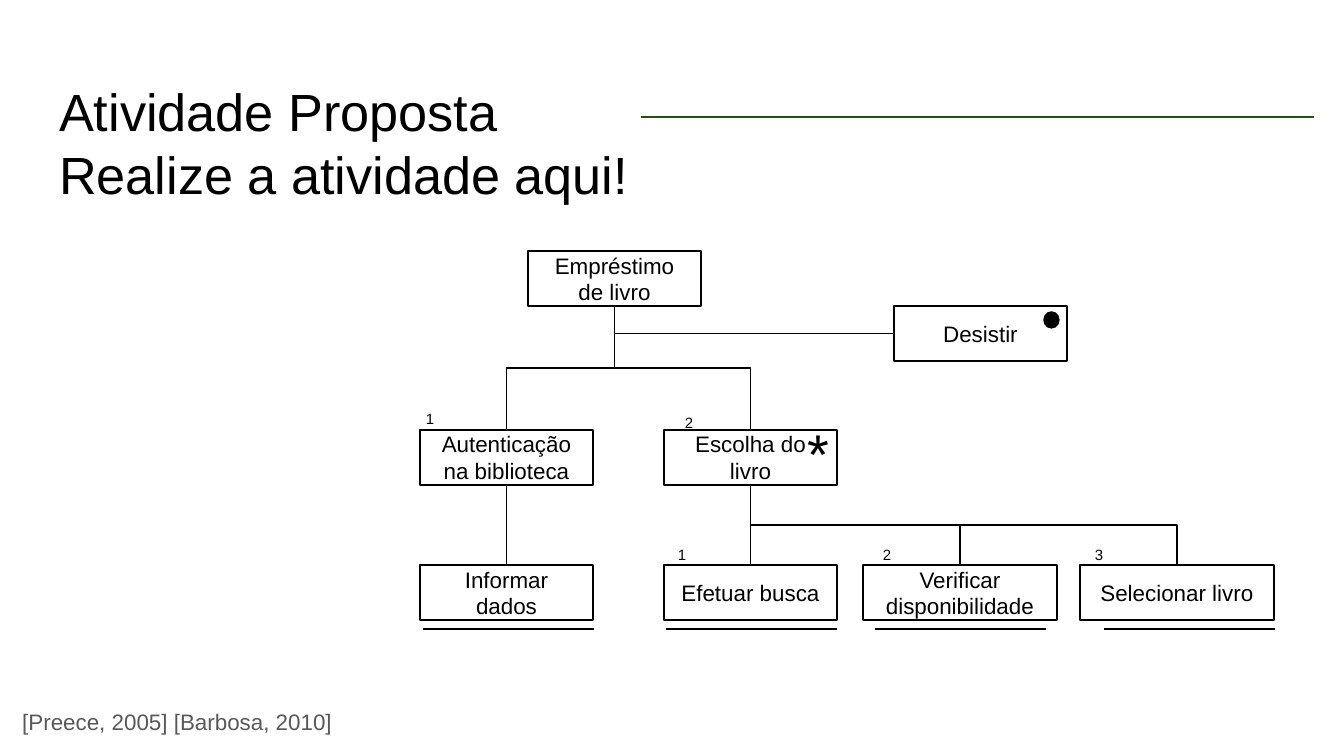
from pptx import Presentation
from pptx.dml.color import RGBColor
from pptx.enum.shapes import MSO_CONNECTOR, MSO_SHAPE
from pptx.enum.text import MSO_ANCHOR, PP_ALIGN
from pptx.oxml.ns import qn
from pptx.util import Pt
from lxml.etree import SubElement

EMU_PER_PIXEL = 914400 / 134.4
THEME = {
    "font": "Arial", "ink": "000000", "grey": "595959", "green": "274E13",
    "title": 28, "body": 12, "number": 8, "star": 30, "thin": 0.75, "thick": 1.5,
}

TITLE = ["Atividade Proposta", "Realize a atividade aqui!"]
SOURCES = ["[Preece, 2005] [Barbosa, 2010]"]
TASK_HEIGHT = 55
# name: (text, left, top, width)
TASKS = {
    "loan": ("Empréstimo de livro", 528, 251, 173),
    "quit": ("Desistir", 894, 306, 173),
    "login": ("Autenticação na biblioteca", 420, 430, 173),
    "choose": ("Escolha do livro", 664, 430, 173),
    "data": ("Informar dados", 420, 565, 173),
    "search": ("Efetuar busca", 664, 565, 173),
    "check": ("Verificar disponibilidade", 863, 565, 194),
    "select": ("Selecionar livro", 1080, 565, 194),
}
BRANCHES = [("loan", "login"), ("loan", "choose"), ("login", "data"),
            ("choose", "search"), ("choose", "check"), ("choose", "select")]
UNDERLINE_LEFTS, UNDERLINE_TOP, UNDERLINE_WIDTH = (423, 666, 875, 1104), 629, 171
# text, left, top, size
MARKS = [("1", 398, 399, "number"), ("2", 657, 403, "number"),
         ("1", 650, 535, "number"), ("2", 855, 535, "number"),
         ("3", 1067, 535, "number"), ("*", 786, 433, "star")]
MARK_SIZE = (64, 39)


def px(length):
    """Turn pixels into EMU."""
    return round(length * EMU_PER_PIXEL)


def color(name):
    """Look up a theme colour."""
    return RGBColor.from_string(THEME[name])


def write(shape, lines, size="body", ink="ink", align=PP_ALIGN.CENTER,
          anchor=MSO_ANCHOR.MIDDLE):
    """Put formatted paragraphs into a shape."""
    frame = shape.text_frame
    frame.text = "\n".join(lines)
    frame.word_wrap = True
    frame.vertical_anchor = anchor
    frame.margin_left = frame.margin_right = px(13.44)
    frame.margin_top = frame.margin_bottom = px(13.44)
    for para in frame.paragraphs:
        para.alignment = align
        for span in para.runs:
            span.font.name = THEME["font"]
            span.font.size = Pt(THEME[size])
            span.font.color.rgb = color(ink)


def add_text(page, bounds, lines, **style):
    """Add a text box and return it."""
    box = page.shapes.add_textbox(*map(px, bounds))
    write(box, lines, **style)
    return box


def add_box(page, kind, bounds, fill=None):
    """Add an outlined preset shape."""
    shape = page.shapes.add_shape(kind, *map(px, bounds))
    shape.shadow.inherit = False
    if fill:
        shape.fill.solid()
        shape.fill.fore_color.rgb = color(fill)
    else:
        shape.fill.background()
    shape.line.color.rgb = color("ink")
    shape.line.width = Pt(THEME["thin"])
    return shape


def add_line(page, start, end, kind=MSO_CONNECTOR.STRAIGHT, ink="ink", width="thin"):
    """Add a connector without a shadow."""
    line = page.shapes.add_connector(kind, *map(px, start + end))
    line.line.color.rgb = color(ink)
    line.line.width = Pt(THEME[width])
    SubElement(line._element.spPr, qn("a:effectLst"))
    return line


def add_elbow(page, start, end, preset="bentConnector3"):
    """Add an elbow that leaves downwards: an unturned box, then a quarter turn."""
    (x1, y1), (x2, y2) = start, end
    if x1 == x2:
        return add_line(page, start, end)
    middle_x, middle_y = (x1 + x2) / 2, (y1 + y2) / 2
    half_width, half_height = (y2 - y1) / 2, abs(x2 - x1) / 2
    elbow = add_line(page, (middle_x - half_width, middle_y - half_height),
                     (middle_x + half_width, middle_y + half_height), MSO_CONNECTOR.ELBOW)
    xfrm = elbow._element.spPr.find(qn("a:xfrm"))
    xfrm.set("rot", str((270 if x2 > x1 else 90) * 60000))
    if x2 > x1:
        xfrm.set("flipH", "1")
    elbow._element.spPr.find(qn("a:prstGeom")).set("prst", preset)
    return elbow


def top_of(name):
    """Give the middle of a task's top edge."""
    _, left, top, width = TASKS[name]
    return left + width / 2, top


def bottom_of(name):
    """Give the middle of a task's bottom edge."""
    x, top = top_of(name)
    return x, top + TASK_HEIGHT


def build():
    """Build the slide and save it."""
    deck = Presentation()
    deck.slide_width, deck.slide_height = px(1344), px(756)
    page = deck.slides.add_slide(deck.slide_layouts[6])

    flush = {"align": PP_ALIGN.LEFT, "anchor": MSO_ANCHOR.TOP}
    add_text(page, (46, 66, 1253, 85), TITLE, size="title", **flush)
    add_line(page, (641, 117), (1314, 117), ink="green", width="thick")
    sources = add_text(page, (9, 691, 499, 56), SOURCES, ink="grey", **flush)
    sources.text_frame.paragraphs[0].line_spacing = 1.15

    for parent, child in BRANCHES:
        add_elbow(page, bottom_of(parent), top_of(child))
    _, quit_left, quit_top, _ = TASKS["quit"]
    add_elbow(page, bottom_of("loan"), (quit_left, quit_top + TASK_HEIGHT / 2),
              "bentConnector2")

    for text, left, top, width in TASKS.values():
        task = add_box(page, MSO_SHAPE.RECTANGLE, (left, top, width, TASK_HEIGHT))
        write(task, [text])
    for left in UNDERLINE_LEFTS:
        add_line(page, (left, UNDERLINE_TOP), (left + UNDERLINE_WIDTH, UNDERLINE_TOP))
    for text, left, top, size in MARKS:
        add_text(page, (left, top) + MARK_SIZE, [text], size=size)
    add_box(page, MSO_SHAPE.OVAL, (1044, 312, 15, 16), fill="ink")

    deck.save("out.pptx")


build()
